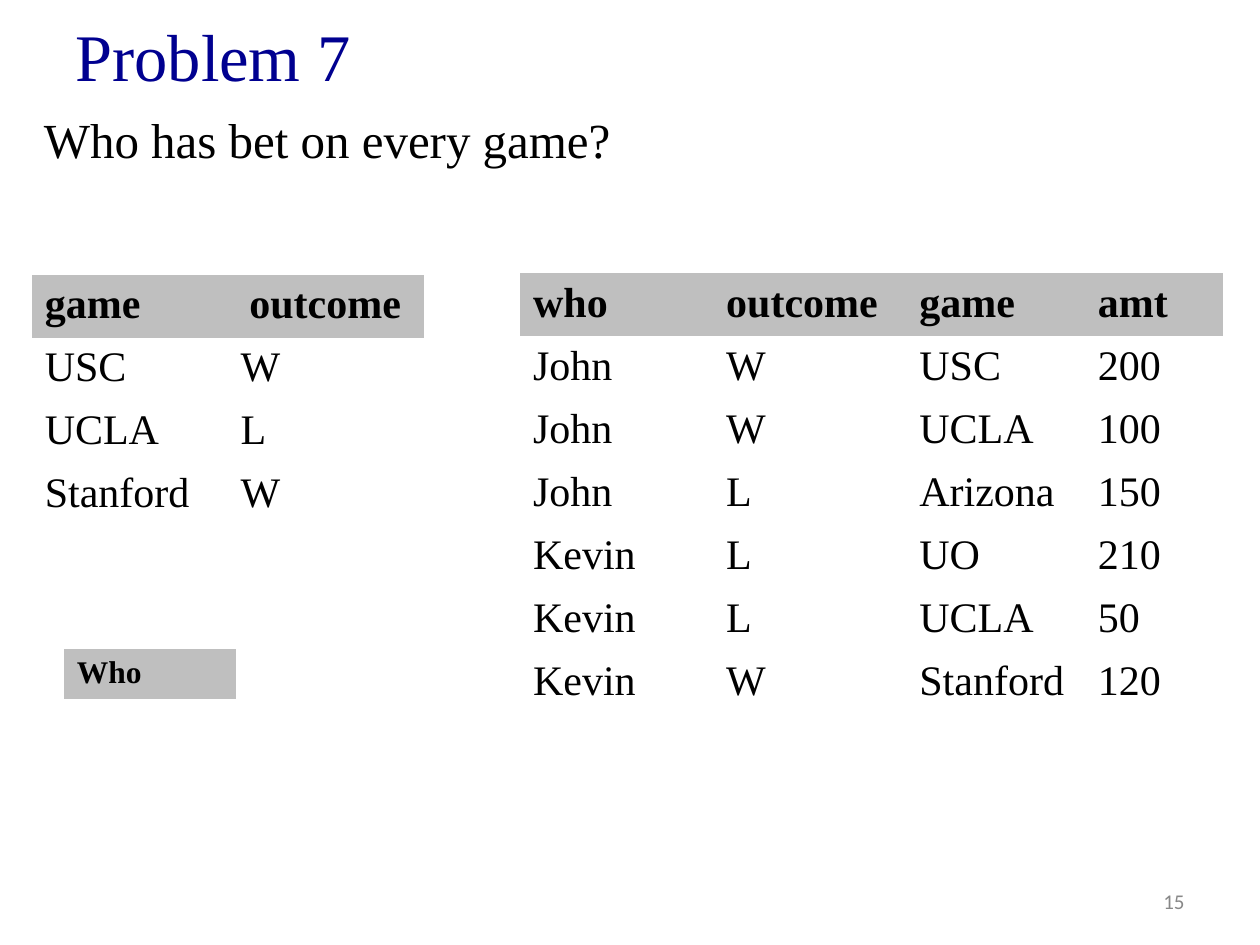
from pptx import Presentation
from pptx.dml.color import RGBColor
from pptx.enum.text import MSO_ANCHOR as Anchor, PP_ALIGN as Align
from pptx.util import Pt

SERIF = "Times New Roman"
BLACK, NAVY, GRAY, HEADER = "000000", "000090", "888888", "BFBFBF"
PLAIN_STYLE = "{2D5ABB26-0587-4C30-8999-92F81FD0307C}"
INSET = 7.2

# text, (left, top, width, height), size, font, colour, anchor, alignment
TEXTS = [
    ("Problem 7", (36, 3.6, 669.6, 55.4), 38, SERIF, NAVY,
     Anchor.MIDDLE, Align.LEFT),
    ("Who has bet on every game?", (18, 59, 687.6, 470), 28, SERIF, BLACK,
     Anchor.TOP, Align.LEFT),
    ("15", (516, 500.5, 168, 28.8), 12, "Calibri", GRAY,
     Anchor.MIDDLE, Align.RIGHT),
]

RESULT = [["Who"]]
GAMES = [
    ["game", "outcome"],
    ["USC", "W"],
    ["UCLA", "L"],
    ["Stanford", "W"],
]
BETS = [
    ["who", "outcome", "game", "amt"],
    ["John", "W", "USC", "200"],
    ["John", "W", "UCLA", "100"],
    ["John", "L", "Arizona", "150"],
    ["Kevin", "L", "UO", "210"],
    ["Kevin", "L", "UCLA", "50"],
    ["Kevin", "W", "Stanford", "120"],
]


def rgb(value):
    """Return the colour for a hex string."""
    return RGBColor.from_string(value)


def style(p, size, font, color, bold=False):
    """Set the font of a paragraph."""
    p.font.size, p.font.name, p.font.bold = Pt(size), font, bold
    p.font.color.rgb = rgb(color)


def add_text(s, text, box, size, font, color, anchor, align):
    """Add a wrapped text box with one paragraph."""
    tf = s.shapes.add_textbox(*map(Pt, box)).text_frame
    tf.word_wrap, tf.vertical_anchor = True, anchor
    p = tf.paragraphs[0]
    p.text, p.alignment = text, align
    style(p, size, font, color)


def add_grid(s, rows, left, top, widths, row_height, size):
    """Add a plain table with a grey, bold header row and return it."""
    frame = s.shapes.add_table(len(rows), len(widths), Pt(left), Pt(top),
                               Pt(sum(widths)), Pt(row_height * len(rows)))
    table = frame.table
    table.horz_banding = False
    table._tbl.tblPr[0].text = PLAIN_STYLE
    for column, width in zip(table.columns, widths):
        column.width = Pt(width)
    for i, row in enumerate(rows):
        table.rows[i].height = Pt(row_height)
        for j, text in enumerate(row):
            cell = table.cell(i, j)
            cell.text = text
            style(cell.text_frame.paragraphs[0], size, SERIF, BLACK, i == 0)
            if i == 0:
                cell.fill.solid()
                cell.fill.fore_color.rgb = rgb(HEADER)
            else:
                cell.fill.background()
    return table


prs = Presentation()
prs.slide_width, prs.slide_height = Pt(720), Pt(540)
s = prs.slides.add_slide(prs.slide_layouts[6])

for item in TEXTS:
    add_text(s, *item)

add_grid(s, RESULT, 36.7, 370.8, [98.4], 18, 18)
games = add_grid(s, GAMES, 18.4, 157, [111.9] * 2, 29.5, 24)
games.cell(0, 1).margin_left = Pt(INSET + 5)
add_grid(s, BETS, 297.4, 156.2, [110.4, 110.4, 102, 78.5], 29.5, 24)

prs.save("out.pptx")
